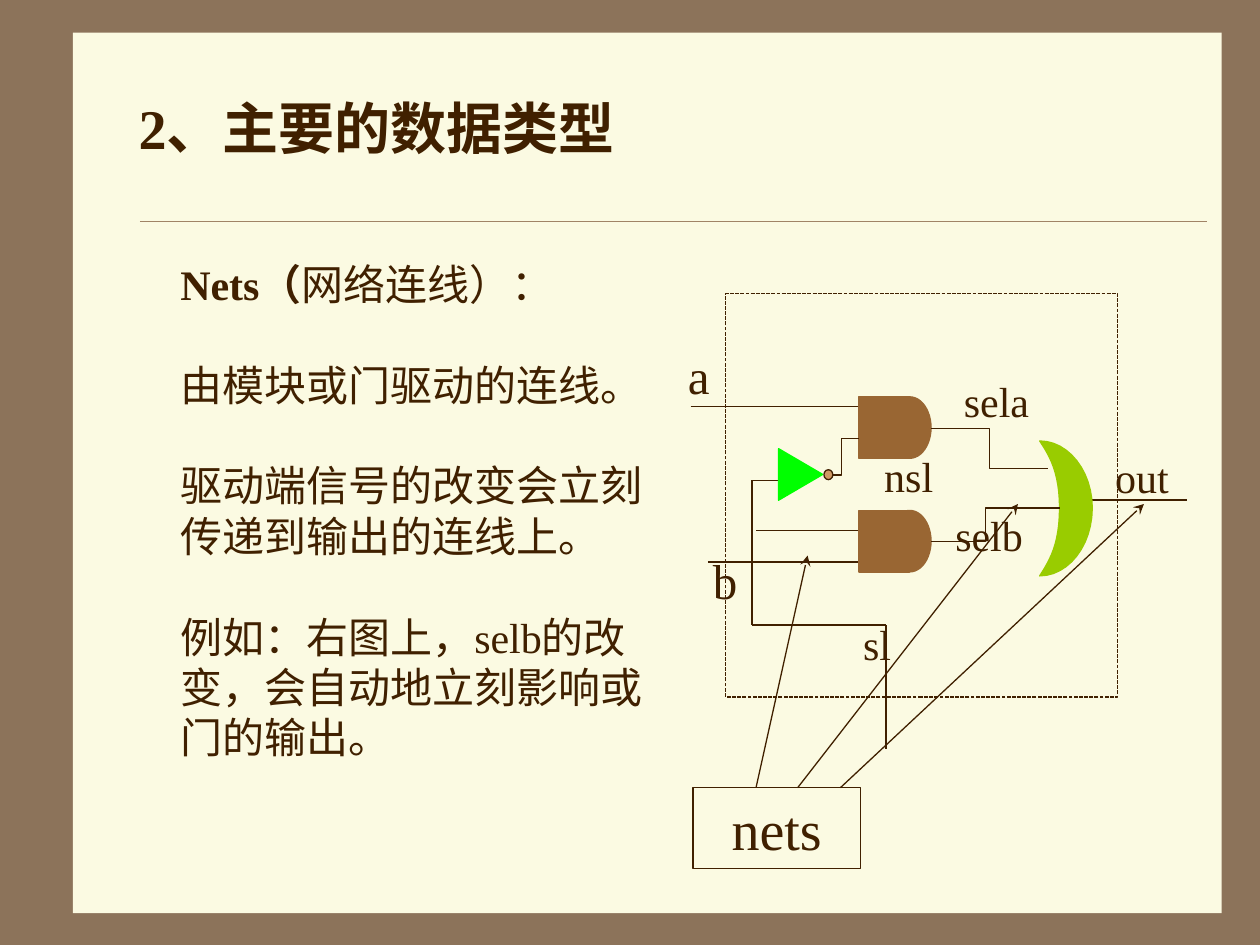
from dataclasses import dataclass

from lxml import etree
from pptx import Presentation
from pptx.dml.color import RGBColor
from pptx.enum.dml import MSO_LINE
from pptx.enum.shapes import MSO_CONNECTOR, MSO_SHAPE
from pptx.enum.text import MSO_ANCHOR, MSO_AUTO_SIZE, PP_ALIGN
from pptx.oxml.ns import qn
from pptx.util import Cm, Pt

STRAIGHT, ELBOW = MSO_CONNECTOR.STRAIGHT, MSO_CONNECTOR.ELBOW
RECTANGLE, OVAL = MSO_SHAPE.RECTANGLE, MSO_SHAPE.OVAL
TRIANGLE = MSO_SHAPE.ISOSCELES_TRIANGLE
DOTTED = MSO_LINE.SQUARE_DOT
LEFT, CENTER = PP_ALIGN.LEFT, PP_ALIGN.CENTER
TOP, MIDDLE = MSO_ANCHOR.TOP, MSO_ANCHOR.MIDDLE
NO_AUTOFIT = MSO_AUTO_SIZE.NONE


@dataclass(frozen=True)
class Theme:
    """Colours, font and type sizes of the slide."""
    font: str = "Times New Roman"
    border: str = "8C735A"
    paper: str = "FBFAE2"
    ink: str = "402000"
    rule: str = "A08366"
    and_gate: str = "996633"
    or_gate: str = "99CC00"
    inverter: str = "00FF00"
    bubble: str = "CE9964"
    title_size: int = 32
    pin_size: int = 28
    text_size: int = 24
    line_width: float = 0.75
    block_gap: float = 28.8


THEME = Theme()
BODY_BLOCKS = [
    ["由模块或门驱动的连线。"],
    ["驱动端信号的改变会立刻", "传递到输出的连线上。"],
    ["例如：右图上，selb的改", "变，会自动地立刻影响或", "门的输出。"],
]
WIRES = [
    ((13.92, 8.2), (17.32, 8.2)),
    ((14.27, 11.33), (17.32, 11.33)),
    ((15.24, 10.69), (17.35, 10.69)),
    ((21.82, 10.08), (23.93, 10.08)),
    ((15.7, 9.68), (15.16, 9.68)),
    ((15.16, 9.68), (15.16, 12.6)),
    ((15.16, 12.6), (17.86, 12.6)),
    ((17.86, 12.6), (17.86, 15.09)),
]
BENT_WIRES = [
    ((16.61, 9.58), (17.32, 8.84), 50000),
    ((18.77, 8.64), (21.13, 9.45), 50000),
    ((18.77, 10.92), (21.36, 10.24), 42300),
]
ARROWS = [
    ((16.28, 11.2), (15.24, 15.88)),
    ((20.52, 10.16), (16.08, 15.88)),
    ((23.06, 10.16), (16.94, 15.88)),
]
PIN_LABELS = [("a", (13.54, 6.71, 1.09, 1.7)), ("b", (13.72, 10.85, 1.8, 1.7))]
NET_LABELS = [("sl", 16.51, 12.22), ("selb", 18.77, 10.01),
              ("sela", 18.92, 7.32), ("nsl", 17.15, 8.84)]
OR_GATE_CURVES = [
    ((20.96, 8.89), (21.16, 9.19), (21.36, 9.53), (21.36, 10.24)),
    ((21.36, 10.24), (21.36, 10.97), (21.16, 11.3), (20.96, 11.61)),
    ((20.96, 11.61), (21.54, 11.61), (22.02, 11), (22.02, 10.24)),
    ((22.02, 10.24), (22.02, 9.5), (21.54, 8.89), (20.96, 8.89)),
]


def color(value):
    """Return a colour from its hex value."""
    return RGBColor.from_string(value)


def style_font(font, size, bold=False):
    """Apply the theme's font and ink at one size."""
    font.name, font.size, font.bold = THEME.font, Pt(size), bold
    font.color.rgb = color(THEME.ink)


def paint(shape, fill=None, line=None):
    """Set the fill and line of a shape, without shadow."""
    shape.shadow.inherit = False
    if fill:
        shape.fill.solid()
        shape.fill.fore_color.rgb = color(fill)
    else:
        shape.fill.background()
    if line:
        shape.line.color.rgb = color(line)
        shape.line.width = Pt(THEME.line_width)
    else:
        shape.line.fill.background()


def add_block(slide, kind, box, fill=None, line=None):
    """Add a preset shape in a box given in centimetres."""
    shape = slide.shapes.add_shape(kind, *map(Cm, box))
    paint(shape, fill, line)
    return shape


def add_wire(slide, start, end, kind=STRAIGHT, line=THEME.ink, width=THEME.line_width):
    """Add a connector between two points in centimetres."""
    wire = slide.shapes.add_connector(kind, *map(Cm, start + end))
    wire.line.color.rgb = color(line)
    wire.line.width = Pt(width)
    etree.SubElement(wire.element.spPr, qn("a:effectLst"))
    return wire


def add_bent_wire(slide, start, end, bend):
    """Add an elbow connector that turns at a share of its width."""
    wire = add_wire(slide, start, end, ELBOW)
    guides = wire.element.spPr.find(qn("a:prstGeom")).find(qn("a:avLst"))
    etree.SubElement(guides, qn("a:gd"), name="adj1", fmla=f"val {bend}")


def add_arrow(slide, tip, tail):
    """Add a line with a stealth arrowhead at its tip."""
    arrow = add_wire(slide, tip, tail)
    line = arrow.element.spPr.find(qn("a:ln"))
    etree.SubElement(line, qn("a:headEnd"), type="stealth")


def write_label(shape, text, size, alignment=CENTER):
    """Write one line of text in a shape, centred vertically."""
    frame = shape.text_frame
    frame.word_wrap = True
    frame.vertical_anchor = MIDDLE
    paragraph = frame.paragraphs[0]
    paragraph.text = text
    paragraph.alignment = alignment
    style_font(paragraph.font, size)


def add_label(slide, text, box, size=THEME.text_size, alignment=CENTER):
    """Add a text box with one label."""
    write_label(slide.shapes.add_textbox(*map(Cm, box)), text, size, alignment)


def place(placeholder, box, anchor):
    """Move a placeholder and give it the paper fill."""
    placeholder.left, placeholder.top, placeholder.width, placeholder.height = map(Cm, box)
    placeholder.fill.solid()
    placeholder.fill.fore_color.rgb = color(THEME.paper)
    frame = placeholder.text_frame
    frame.auto_size = NO_AUTOFIT
    frame.vertical_anchor = anchor
    return frame


def format_line(paragraph, gap):
    """Format a body paragraph without bullet or indent."""
    properties = paragraph._p.get_or_add_pPr()
    properties.set("marL", "0")
    properties.set("indent", "0")
    etree.SubElement(properties, qn("a:buNone"))
    paragraph.alignment = LEFT
    paragraph.space_before = Pt(gap)
    style_font(paragraph.font, THEME.text_size)


def fill_body(frame):
    """Write the heading and the blocks of explanation."""
    heading = frame.paragraphs[0]
    format_line(heading, 0)
    for text, bold in (("Nets（", True), ("网络连线）：", False)):
        run = heading.add_run()
        run.text = text
        run.font.bold = bold
    for block in BODY_BLOCKS:
        for index, text in enumerate(block):
            paragraph = frame.add_paragraph()
            format_line(paragraph, 0 if index else THEME.block_gap)
            paragraph.text = text


def add_and_gate(slide, top):
    """Add an AND gate from an oval and a rectangle."""
    for kind, left, width in ((OVAL, 17.91, 0.86), (RECTANGLE, 17.32, 1.02)):
        add_block(slide, kind, (left, top, width, 1.24), THEME.and_gate, THEME.and_gate)


def curve_point(curve, t):
    """Return the point of a cubic curve at t, as lengths."""
    weights = ((1 - t) ** 3, 3 * t * (1 - t) ** 2, 3 * t * t * (1 - t), t ** 3)
    return tuple(Cm(sum(w * v for w, v in zip(weights, axis))) for axis in zip(*curve))


def add_or_gate(slide, steps=12):
    """Add the crescent outline of the OR gate."""
    points = [curve_point(curve, step / steps)
              for curve in OR_GATE_CURVES for step in range(steps)]
    builder = slide.shapes.build_freeform(*points[0])
    builder.add_line_segments(points[1:], close=True)
    paint(builder.convert_to_shape(), THEME.or_gate, THEME.or_gate)


def add_circuit(slide):
    """Draw the multiplexer with its gates, wires and labels."""
    frame = add_block(slide, RECTANGLE, (14.63, 5.92, 7.9, 8.13), line=THEME.ink)
    frame.line.dash_style = DOTTED
    for start, end in WIRES:
        add_wire(slide, start, end)
    for tip, tail in ARROWS:
        add_arrow(slide, tip, tail)
    for top in (8, 10.29):
        add_and_gate(slide, top)
    inverter = add_block(slide, TRIANGLE, (15.62, 9.12, 1.04, 0.89), THEME.inverter, THEME.inverter)
    inverter.rotation = 90
    add_or_gate(slide)
    for start, end, bend in BENT_WIRES:
        add_bent_wire(slide, start, end, bend)
    add_block(slide, OVAL, (16.61, 9.47, 0.18, 0.2), THEME.bubble, THEME.ink)
    for text, box in PIN_LABELS:
        add_label(slide, text, box, THEME.pin_size)
    for text, left, top in NET_LABELS:
        add_label(slide, text, (left, top, 2.34, 1.52))
    add_label(slide, "out", (22.23, 8.97, 2.11, 1.27), alignment=LEFT)


def main():
    """Build the slide and save it."""
    presentation = Presentation()
    presentation.slide_width, presentation.slide_height = Cm(25.4), Cm(19.05)
    slide = presentation.slides.add_slide(presentation.slide_layouts[1])
    slide.background.fill.solid()
    slide.background.fill.fore_color.rgb = color(THEME.border)

    title, body = slide.placeholders
    panel = add_block(slide, RECTANGLE, (1.47, 0.66, 23.16, 17.75), THEME.paper)
    rule = add_wire(slide, (2.82, 4.45), (24.33, 4.45), line=THEME.rule, width=0.25)
    for backdrop in (panel, rule):
        title.element.addprevious(backdrop.element)

    heading = place(title, (2.54, 1.07, 21.59, 2.97), MIDDLE).paragraphs[0]
    heading.text = "2、主要的数据类型"
    heading.alignment = LEFT
    style_font(heading.font, THEME.title_size, bold=True)
    fill_body(place(body, (3.38, 5.08, 9.96, 12.7), TOP))

    nets = add_block(slide, RECTANGLE, (13.97, 15.88, 3.38, 1.63), line=THEME.ink)
    write_label(nets, "nets", THEME.title_size)
    add_circuit(slide)
    presentation.save("out.pptx")


if __name__ == "__main__":
    main()
